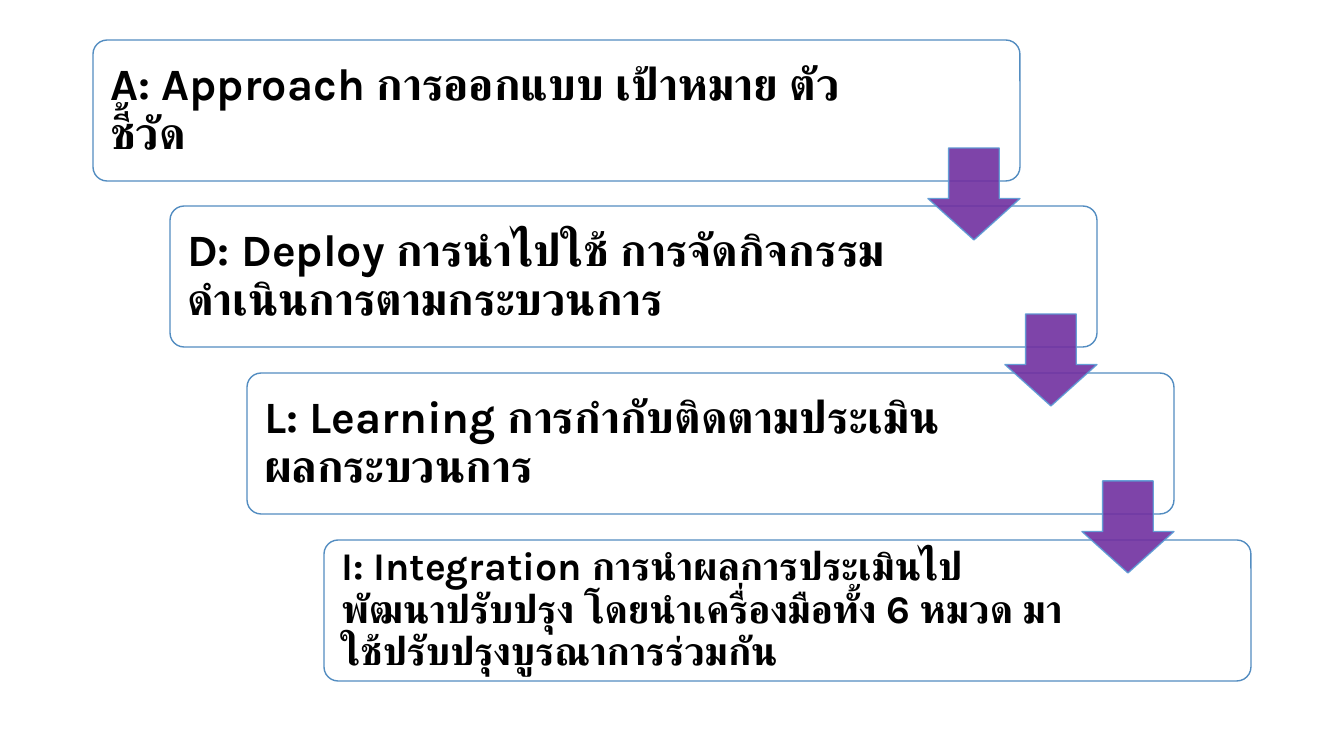
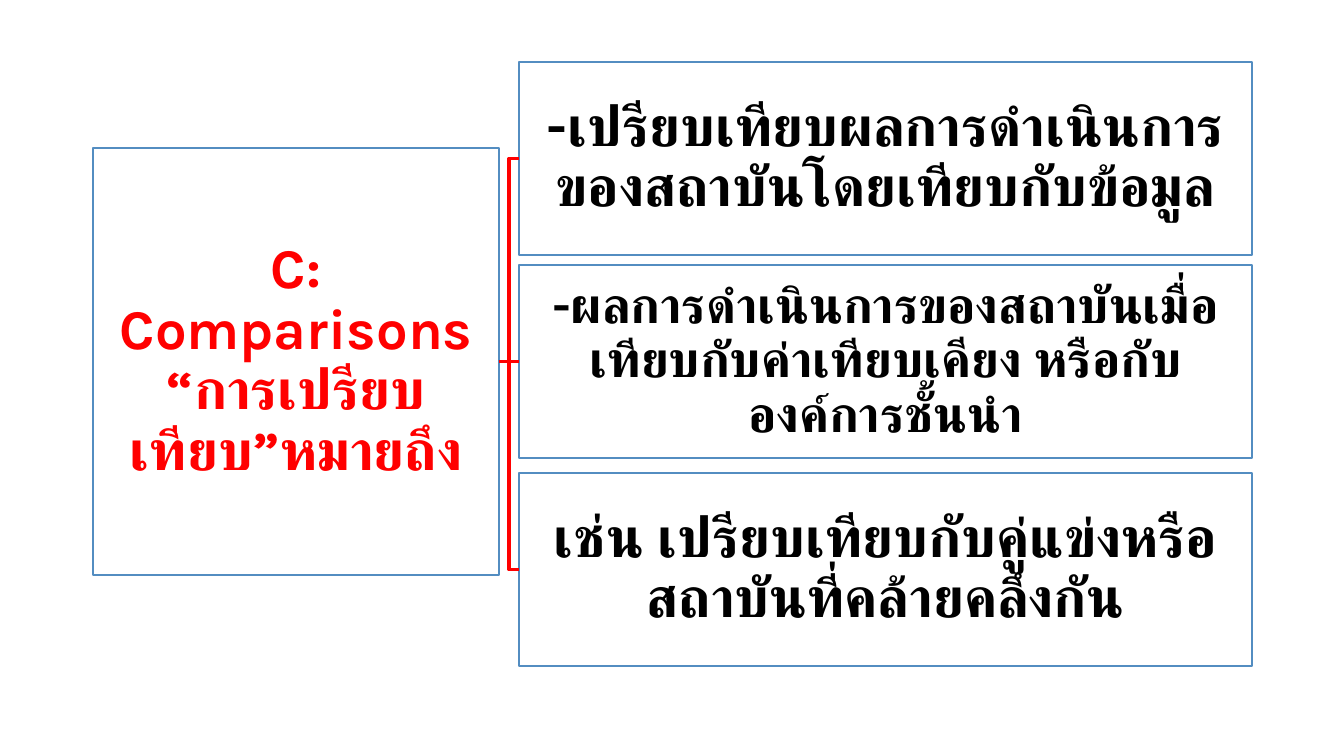
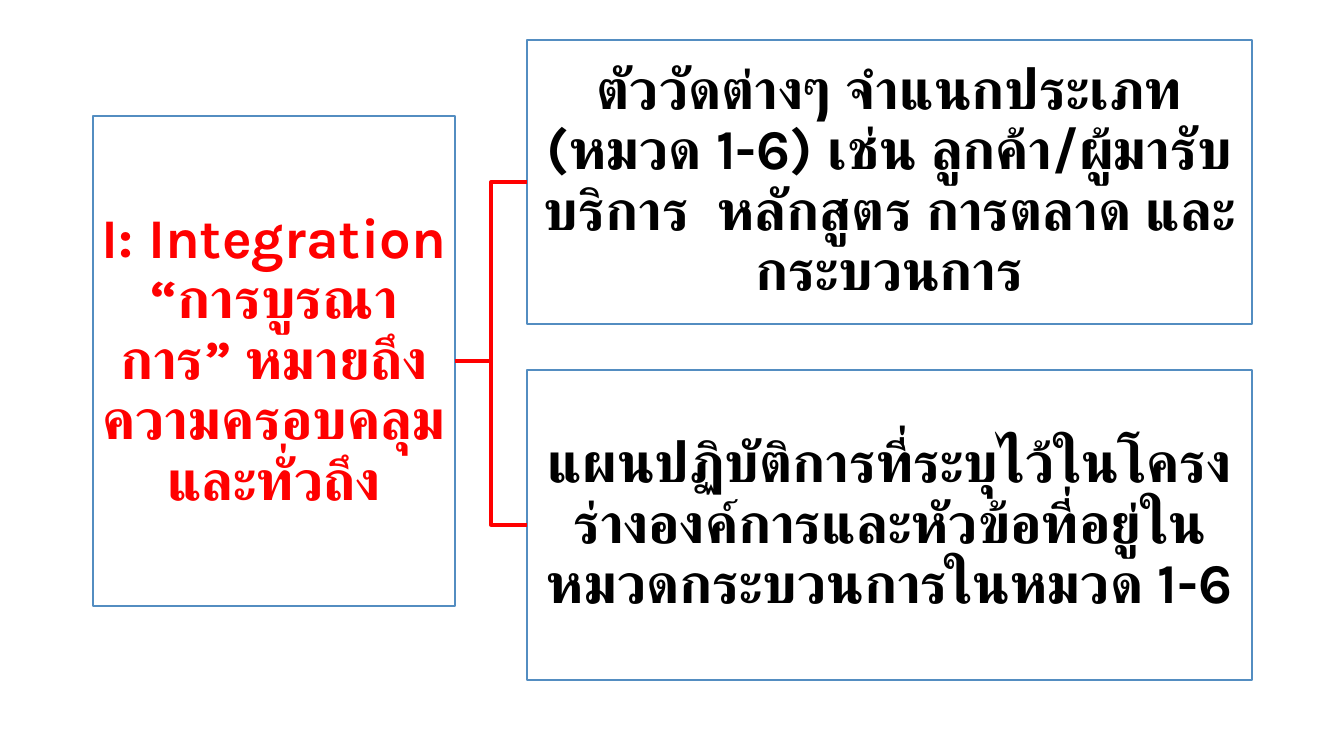
from dataclasses import dataclass

from lxml.etree import SubElement
from pptx import Presentation
from pptx.dml.color import RGBColor
from pptx.enum.shapes import MSO_CONNECTOR, MSO_SHAPE
from pptx.enum.text import MSO_ANCHOR, PP_ALIGN
from pptx.oxml.ns import qn
from pptx.util import Emu, Pt

SCALE = 914400 / 100.8


@dataclass(frozen=True)
class Theme:
    font: str = "Karla"
    paper: str = "FFFFFF"
    ink: str = "000000"
    red: str = "FF0000"
    edge: str = "538DC1"
    arrow: str = "7030A0"
    rim: str = "5B9BD5"
    large: int = 40
    medium: int = 36
    step: int = 32
    small: int = 28
    thin: float = 1
    thick: float = 2.25
    leading: float = 0.9


THEME = Theme()

STEPS = [
    ("A: Approach การออกแบบ เป้าหมาย ตัวชี้วัด", THEME.step, 169),
    ("D: Deploy การนำไปใช้ การจัดกิจกรรมดำเนินการตามกระบวนการ", THEME.step, 182),
    ("L: Learning การกำกับติดตามประเมินผลกระบวนการ", THEME.step, 182),
    ("I: Integration การนำผลการประเมินไปพัฒนาปรับปรุง โดยนำเครื่องมือทั้ง 6 หมวด "
     "มาใช้ปรับปรุงบูรณาการร่วมกัน", THEME.small, 182),
]


def px(count):
    return Emu(round(count * SCALE))


def color(code):
    return RGBColor.from_string(code)


def write(shape, text, size=THEME.large, ink=THEME.ink, align=PP_ALIGN.CENTER,
          pad=(3, 3, 3, 3)):
    frame = shape.text_frame
    frame.word_wrap = True
    frame.vertical_anchor = MSO_ANCHOR.MIDDLE
    (frame.margin_left, frame.margin_top,
     frame.margin_right, frame.margin_bottom) = map(px, pad)
    line = frame.paragraphs[0]
    line.alignment = align
    line.line_spacing = THEME.leading
    run = line.add_run()
    run.text = text
    font = run.font
    font.name, font.size, font.bold = THEME.font, Pt(size), True
    font.color.rgb = color(ink)
    SubElement(run._r.get_or_add_rPr(), qn("a:cs")).set("typeface", THEME.font)


def draw(slide, kind, area, fill=THEME.paper, edge=THEME.edge, adjust=()):
    shape = slide.shapes.add_shape(kind, *map(px, area))
    shape.shadow.inherit = False
    shape.fill.solid()
    shape.fill.fore_color.rgb = color(fill)
    shape.line.color.rgb = color(edge)
    shape.line.width = Pt(THEME.thin)
    for index, value in enumerate(adjust):
        shape.adjustments[index] = value
    return shape


def fade(shape, share):
    for tint in list(shape._element.spPr.iter(qn("a:srgbClr"))):
        SubElement(tint, qn("a:alpha")).set("val", str(share * 1000))


def card(slide, area, text, **style):
    shape = draw(slide, MSO_SHAPE.RECTANGLE, area)
    write(shape, text, **style)
    return shape


def link(slide, root, leaf):
    line = slide.shapes.add_connector(MSO_CONNECTOR.ELBOW, 0, 0, 0, 0)
    line.begin_connect(root, 3)
    line.end_connect(leaf, 1)
    line.line.color.rgb = color(THEME.red)
    line.line.width = Pt(THEME.thick)
    SubElement(line._element.spPr, qn("a:effectLst"))


def stairs(slide, steps):
    spots = [(77 * i, 500 * i // 3) for i in range(len(steps))]
    for (dx, dy), (text, size, right) in zip(spots, steps):
        shape = draw(slide, MSO_SHAPE.ROUNDED_RECTANGLE,
                     (93 + dx, 40 + dy, 927, 141), adjust=(0.1,))
        write(shape, text, size=size, align=PP_ALIGN.LEFT, pad=(13, 13, right, 13))
    for dx, dy in spots[:-1]:
        arrow = draw(slide, MSO_SHAPE.DOWN_ARROW, (928 + dx, 148 + dy, 92, 92),
                     fill=THEME.arrow, edge=THEME.rim)
        arrow.adjustments[0], arrow.adjustments[1] = 0.55, 0.45
        fade(arrow, 90)


def tree(slide, area, title, left, leaves):
    root = card(slide, area, title, ink=THEME.red)
    for top, height, text, size in leaves:
        leaf = card(slide, (left, top, 1252 - left, height), text, size=size)
        link(slide, root, leaf)


def main():
    deck = Presentation()
    deck.slide_width, deck.slide_height = px(1344), px(756)
    flow, compare, unite = [
        deck.slides.add_slide(deck.slide_layouts[6]) for _ in range(3)]
    stairs(flow, STEPS)
    tree(compare, (93, 148, 406, 427),
         "C: Comparisons “การเปรียบเทียบ”หมายถึง", 519, [
             (62, 193, "-เปรียบเทียบผลการดำเนินการของสถาบันโดยเทียบกับข้อมูล",
              THEME.large),
             (265, 193, "-ผลการดำเนินการของสถาบันเมื่อเทียบกับค่าเทียบเคียง "
              "หรือกับองค์การชั้นนำ", THEME.medium),
             (473, 193, "เช่น เปรียบเทียบกับคู่แข่งหรือสถาบันที่คล้ายคลึงกัน",
              THEME.large),
         ])
    tree(unite, (93, 116, 362, 490),
         "I: Integration “การบูรณาการ” หมายถึง ความครอบคลุมและทั่วถึง", 527, [
             (40, 284, "ตัววัดต่างๆ จำแนกประเภท (หมวด 1-6) เช่น "
              "ลูกค้า/ผู้มารับบริการ  หลักสูตร การตลาด และกระบวนการ", THEME.large),
             (370, 310, "แผนปฏิบัติการที่ระบุไว้ในโครงร่างองค์การและหัวข้อที่อยู่ใน"
              "หมวดกระบวนการในหมวด 1-6", THEME.large),
         ])
    deck.save("out.pptx")


if __name__ == "__main__":
    main()
